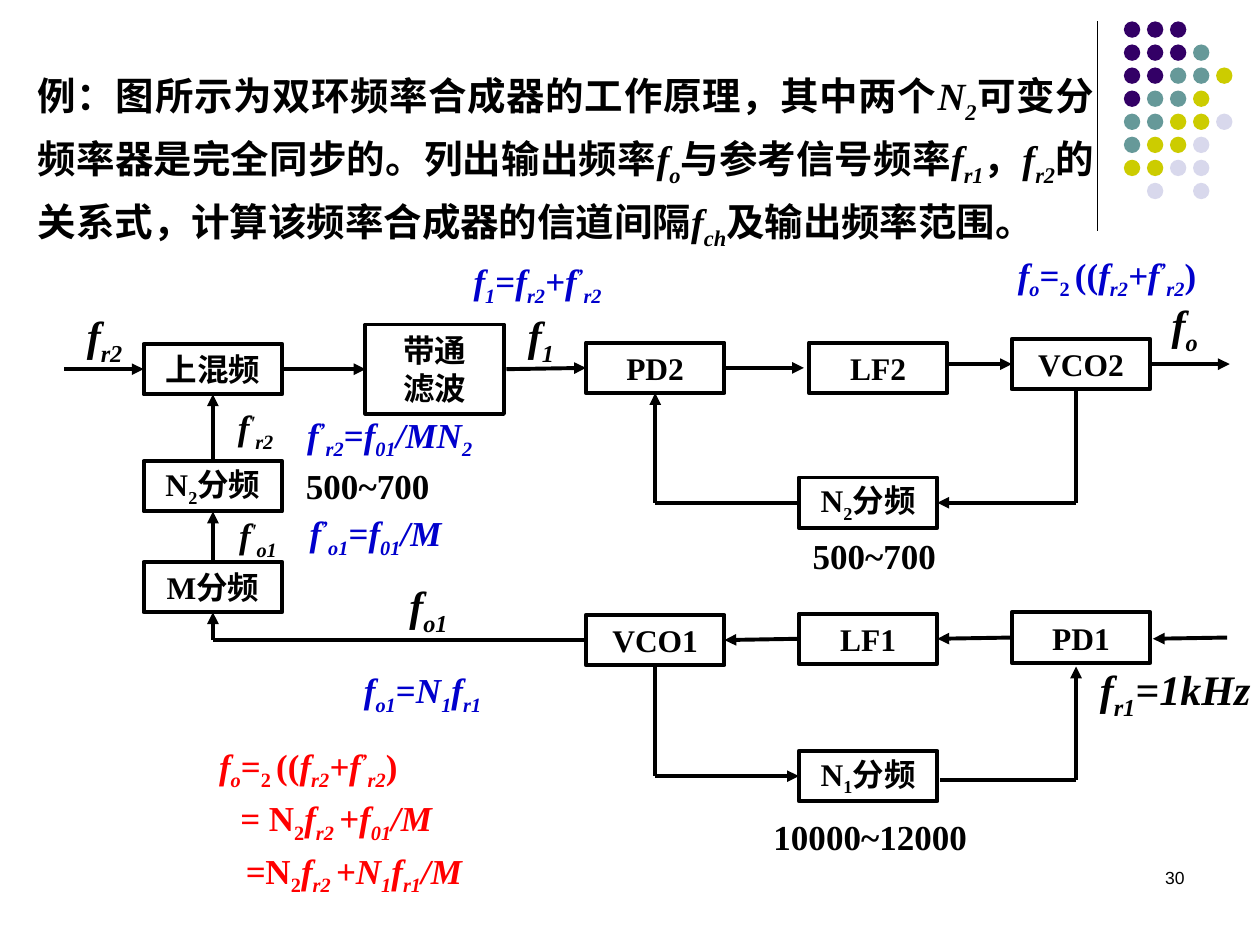
from dataclasses import dataclass
from enum import IntEnum
from typing import NamedTuple

from lxml.etree import SubElement
from pptx import Presentation
from pptx.dml.color import RGBColor
from pptx.enum.shapes import MSO_CONNECTOR, MSO_SHAPE
from pptx.enum.text import MSO_ANCHOR, MSO_AUTO_SIZE, PP_ALIGN
from pptx.oxml.ns import qn
from pptx.util import Inches, Pt

BLACK = RGBColor(0x00, 0x00, 0x00)
WHITE = RGBColor(0xFF, 0xFF, 0xFF)
BLUE = RGBColor(0x00, 0x00, 0xCC)
RED = RGBColor(0xFF, 0x00, 0x00)
DOT_COLORS = {
    "P": RGBColor(0x33, 0x00, 0x66),
    "T": RGBColor(0x66, 0x99, 0x99),
    "Y": RGBColor(0xCC, 0xCC, 0x00),
    "L": RGBColor(0xD8, 0xD8, 0xEC),
}
DOT_ROWS = ["PPP", "PPPT", "PPTTY", "PTTY", "TTYYL", "TYYL", "YYLL", " L L"]
DOT_LEFT, DOT_TOP, DOT_SIZE, DOT_PITCH = 89.2, 1.7, 1.3, 1.83

# The slide is a grid of 100 columns by 75 rows.
SLIDE_WIDTH, SLIDE_HEIGHT = Inches(10), Inches(7.5)
COLUMN, ROW = SLIDE_WIDTH / 100, SLIDE_HEIGHT / 75
BLOCK_WIDTH, BLOCK_HEIGHT = 11, 4
FONT = "Times New Roman"


class Side(IntEnum):
    TOP = 0
    LEFT = 1
    BOTTOM = 2
    RIGHT = 3


class Run(NamedTuple):
    text: str
    italic: bool = True
    baseline: int = 0


class Point(NamedTuple):
    column: float
    row: float


class Port(NamedTuple):
    block: str
    side: Side


@dataclass
class Block:
    column: float  # centre
    row: float  # centre
    lines: list[list[Run]]
    height: float = BLOCK_HEIGHT


@dataclass
class Wire:
    start: Point | Port
    end: Point | Port
    arrow: bool = True


@dataclass
class Label:
    column: float
    row: float
    width: float
    runs: list[Run]
    size: float = 20
    color: RGBColor = BLACK


def upright(text: str) -> Run:
    return Run(text, italic=False)


def sub(text: str, italic: bool = True) -> Run:
    return Run(text, italic, -25)


def f(index: str) -> list[Run]:
    return [Run("f"), sub(index)]


def f_prime(index: str, mark: str = "’") -> list[Run]:
    return [Run("f"), Run(mark, baseline=30), sub(index)]


def n(index: str, after: str = "") -> list[Run]:
    return [upright("N"), sub(index, False), upright(after)] if after else [upright("N"), sub(index, False)]


def across(columns: float) -> int:
    return round(columns * COLUMN)


def down(rows: float) -> int:
    return round(rows * ROW)


def add_runs(paragraph, runs: list[Run], size: float, color: RGBColor = BLACK,
             font: str = FONT, bold: bool = True) -> None:
    for part in runs:
        run = paragraph.add_run()
        run.text = part.text
        run.font.name, run.font.size, run.font.bold = font, Pt(size), bold
        run.font.italic = part.italic
        run.font.color.rgb = color
        if part.baseline:
            run._r.get_or_add_rPr().set("baseline", str(part.baseline * 1000))


def add_text_box(slide, column: float, row: float, width: float, height: float):
    frame = slide.shapes.add_textbox(across(column), down(row), across(width), down(height)).text_frame
    frame.word_wrap = True
    return frame


def add_label(slide, label: Label) -> None:
    frame = add_text_box(slide, label.column, label.row, label.width, label.size / 5)
    add_runs(frame.paragraphs[0], label.runs, label.size, label.color)


def add_block(slide, block: Block):
    shape = slide.shapes.add_shape(
        MSO_SHAPE.RECTANGLE, across(block.column - BLOCK_WIDTH / 2), down(block.row - block.height / 2),
        across(BLOCK_WIDTH), down(block.height))
    shape.shadow.inherit = False
    shape.fill.solid()
    shape.fill.fore_color.rgb = WHITE
    shape.line.color.rgb = BLACK
    shape.line.width = Pt(2.25)
    frame = shape.text_frame
    frame.word_wrap = False
    frame.vertical_anchor = MSO_ANCHOR.MIDDLE
    for index, line in enumerate(block.lines):
        paragraph = frame.add_paragraph() if index else frame.paragraphs[0]
        paragraph.alignment = PP_ALIGN.CENTER
        add_runs(paragraph, line, 18)
    return shape


def add_wire(slide, wire: Wire, boxes: dict, width: float = 2.25) -> None:
    start, end = (Point(0, 0) if isinstance(p, Port) else p for p in (wire.start, wire.end))
    connector = slide.shapes.add_connector(
        MSO_CONNECTOR.STRAIGHT, across(start.column), down(start.row), across(end.column), down(end.row))
    for place, join in ((wire.start, connector.begin_connect), (wire.end, connector.end_connect)):
        if isinstance(place, Port):
            join(boxes[place.block], int(place.side))
    connector.line.color.rgb = BLACK
    connector.line.width = Pt(width)
    if wire.arrow:
        SubElement(connector.line._get_or_add_ln(), qn("a:tailEnd"), type="triangle")
    SubElement(connector._element.spPr, qn("a:effectLst"))


def add_dots(slide) -> None:
    for row, marks in enumerate(DOT_ROWS):
        for column, mark in enumerate(marks):
            if mark == " ":
                continue
            dot = slide.shapes.add_shape(
                MSO_SHAPE.OVAL, across(DOT_LEFT + column * DOT_PITCH), down(DOT_TOP + row * DOT_PITCH),
                across(DOT_SIZE), down(DOT_SIZE))
            dot.shadow.inherit = False
            dot.fill.solid()
            dot.fill.fore_color.rgb = DOT_COLORS[mark]
            dot.line.fill.background()


def add_problem(slide) -> None:
    title = slide.shapes.title
    title.left, title.top, title.width, title.height = across(2), down(4.4), across(85.8), down(15.6)
    frame = title.text_frame
    frame.word_wrap, frame.auto_size, frame.vertical_anchor = True, MSO_AUTO_SIZE.NONE, MSO_ANCHOR.TOP
    paragraph = frame.paragraphs[0]
    paragraph.alignment, paragraph.line_spacing = PP_ALIGN.JUSTIFY, Pt(36)
    add_runs(paragraph, [
        upright("例：图所示为双环频率合成器的工作原理，其中两个"), Run("N"), sub("2"),
        upright("可变分频率器是完全同步的。列出输出频率"), *f("o"), upright("与参考信号频率"), *f("r1"),
        upright("，"), *f("r2"), upright("的关系式，计算该频率合成器的信道间隔"), *f("ch"),
        upright("及输出频率范围。")], 22)


OUTPUT = [*f("o"), *n("2 ", "("), *f("r2"), Run("+"), *f_prime("r2"), upright(")")]
OUTPUT[2:4] = [sub("2 ", False), upright("(")]
OUTPUT.insert(2, upright("="))
DERIVATION = [  # indent in columns, runs
    (0, OUTPUT),
    (1.67, [Run("="), upright(" N"), sub("2", False), Run("f"), sub("r2 "), Run("+f"), sub("01"), Run("/M")]),
    (2.1, [Run("="), *n("2"), Run("f"), sub("r2 "), Run("+N"), sub("1"), *f("r1"), Run("/M")]),
]
BLOCKS = {
    "mixer": Block(16.9, 29.3, [[upright("上混频")]]),
    "mixer divider": Block(16.9, 38.6, [n("2", "分频")]),
    "M divider": Block(16.9, 46.6, [[upright("M分频")]]),
    "band-pass": Block(34.5, 29.3, [[upright("带通")], [upright("滤波")]], 7.1),
    "PD2": Block(52, 29.2, [[upright("PD2")]]),
    "LF2": Block(69.7, 29.2, [[upright("LF2")]]),
    "VCO2": Block(85.8, 28.9, [[upright("VCO2")]]),
    "loop 2 divider": Block(68.9, 39.9, [n("2", "分频")]),
    "VCO1": Block(52, 50.8, [[upright("VCO1")]]),
    "LF1": Block(68.9, 50.7, [[upright("LF1")]]),
    "PD1": Block(85.8, 50.6, [[upright("PD1")]]),
    "loop 1 divider": Block(68.9, 61.6, [n("1", "分频")]),
}
LOOP_2_RIGHT, LOOP_2_LEFT = Point(85.4, 39.9), Point(52, 39.9)
LOOP_1_RIGHT, LOOP_1_LEFT = Point(85.4, 61.9), Point(52, 61.6)
M_INPUT = Point(16.9, 50.8)
WIRES = [
    Wire(Point(5.1, 29.3), Port("mixer", Side.LEFT)),
    Wire(Port("mixer", Side.RIGHT), Port("band-pass", Side.LEFT)),
    Wire(Point(40.2, 29.3), Port("PD2", Side.LEFT)),
    Wire(Port("PD2", Side.RIGHT), Point(63.8, 29.2)),
    Wire(Point(75.2, 28.9), Port("VCO2", Side.LEFT)),
    Wire(Port("VCO2", Side.RIGHT), Point(97.6, 28.9)),
    Wire(Point(85.4, 31), LOOP_2_RIGHT, arrow=False),
    Wire(LOOP_2_RIGHT, Port("loop 2 divider", Side.RIGHT)),
    Wire(Port("loop 2 divider", Side.LEFT), LOOP_2_LEFT, arrow=False),
    Wire(LOOP_2_LEFT, Port("PD2", Side.BOTTOM)),
    Wire(Port("mixer divider", Side.TOP), Port("mixer", Side.BOTTOM)),
    Wire(Port("M divider", Side.TOP), Port("mixer divider", Side.BOTTOM)),
    Wire(M_INPUT, Port("M divider", Side.BOTTOM)),
    Wire(Port("VCO1", Side.LEFT), M_INPUT, arrow=False),
    Wire(Port("LF1", Side.LEFT), Port("VCO1", Side.RIGHT)),
    Wire(Port("PD1", Side.LEFT), Port("LF1", Side.RIGHT)),
    Wire(Port("VCO1", Side.BOTTOM), LOOP_1_LEFT, arrow=False),
    Wire(LOOP_1_LEFT, Port("loop 1 divider", Side.LEFT)),
    Wire(LOOP_1_RIGHT, Point(85.4, 52.9)),
    Wire(LOOP_1_RIGHT, Point(74.6, 61.9), arrow=False),
    Wire(Point(97.4, 50.6), Point(91.5, 50.7)),
]
LABELS = [
    Label(5.9, 24.1, 5.5, f("r2"), 24),
    Label(17.9, 31.7, 6.1, f_prime("r2", "'")),
    Label(18, 40.3, 6.1, f_prime("o1", "'")),
    Label(31.5, 45.5, 6.1, f("o1"), 24),
    Label(86.3, 52.2, 15.9, [*f("r1"), Run("=1kHz")], 24),
    Label(92, 23.2, 6.1, f("o"), 24),
    Label(40.9, 24.1, 6.1, f("1"), 24),
    Label(63.5, 41.9, 21.9, [upright("500~700")]),
    Label(23.3, 36.4, 21.9, [upright("500~700")]),
    Label(60.4, 64.2, 21.9, [upright("10000~12000")]),
    Label(27.9, 52.6, 26, [*f("o1"), upright("="), Run("N"), sub("1"), *f("r1")], color=BLUE),
    Label(23.4, 32.3, 26, [*f_prime("r2"), upright("="), *f("01"), Run("/MN"), sub("2")], color=BLUE),
    Label(23.6, 40.1, 26, [*f_prime("o1"), upright("="), *f("01"), Run("/M")], color=BLUE),
    Label(36.6, 20.1, 14.2, [*f("1"), upright("="), *f("r2"), Run("+"), *f_prime("r2")], color=BLUE),
    Label(79.8, 19.6, 19.4, OUTPUT, color=BLUE),
]


def main() -> None:
    deck = Presentation()
    deck.slide_width, deck.slide_height = SLIDE_WIDTH, SLIDE_HEIGHT
    slide = deck.slides.add_slide(deck.slide_layouts[5])
    add_wire(slide, Wire(Point(87.1, 1.7), Point(87.1, 18.3), arrow=False), {}, 0.75)
    add_dots(slide)
    add_problem(slide)
    boxes = {name: add_block(slide, block) for name, block in BLOCKS.items()}
    for wire in WIRES:
        add_wire(slide, wire, boxes)
    for label in LABELS:
        add_label(slide, label)
    derivation = add_text_box(slide, 16.4, 58.2, 30.1, 17)
    for index, (indent, runs) in enumerate(DERIVATION):
        paragraph = derivation.add_paragraph() if index else derivation.paragraphs[0]
        paragraph.line_spacing = Pt(30)
        paragraph._p.get_or_add_pPr().set("marL", str(across(indent)))
        add_runs(paragraph, runs, 20, RED)
    page_number = add_text_box(slide, 71.7, 68.3, 23.3, 5).paragraphs[0]
    page_number.alignment = PP_ALIGN.RIGHT
    add_runs(page_number, [upright("30")], 10, font="Arial", bold=False)
    deck.save("out.pptx")


if __name__ == "__main__":
    main()
